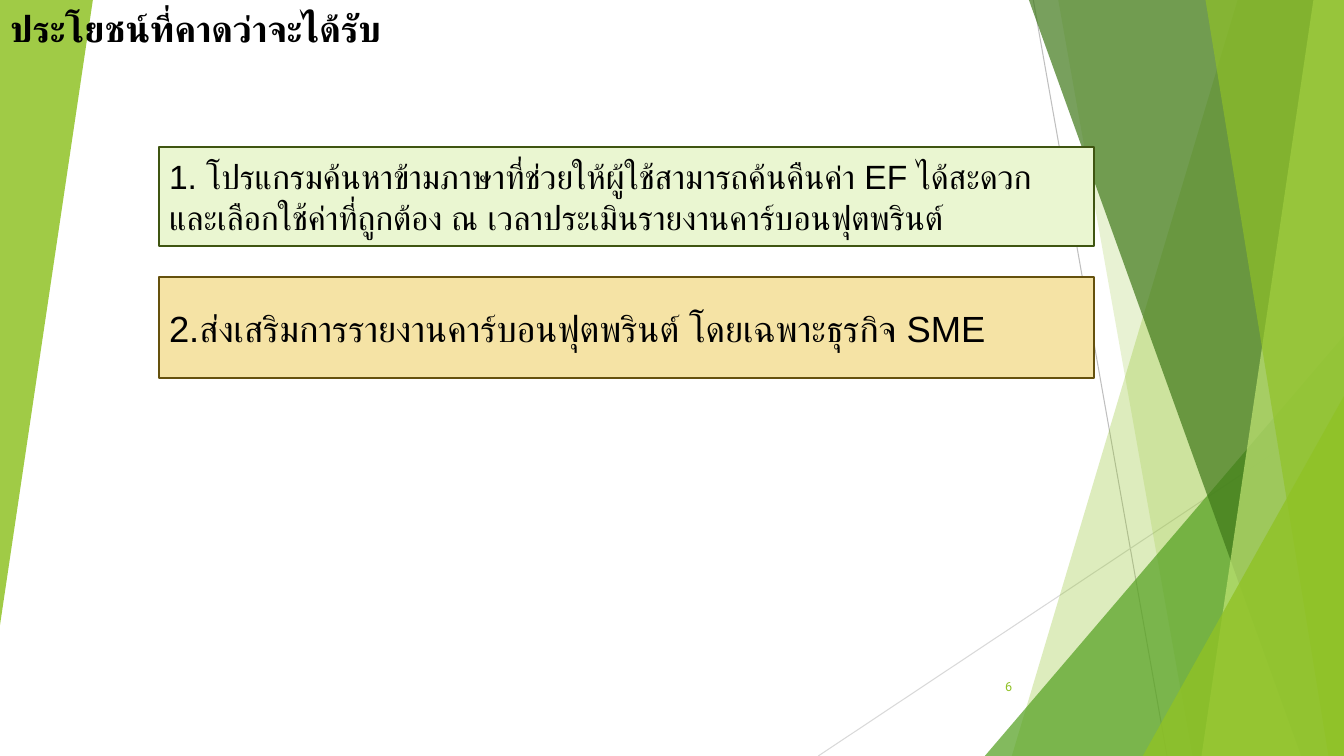
from pptx import Presentation
from pptx.dml.color import RGBColor
from pptx.enum.lang import MSO_LANGUAGE_ID as Lang
from pptx.enum.shapes import MSO_CONNECTOR as Link, MSO_SHAPE as Kind
from pptx.enum.text import MSO_ANCHOR as Anchor, MSO_AUTO_SIZE as Fit, PP_ALIGN as Align
from pptx.oxml.ns import qn
from pptx.util import Cm, Pt
from lxml.etree import SubElement

WIDE, HIGH = 33.87, 19.05


def tint(fmt, color):
    """Give a fill or font a colour from a hex string."""
    fmt.rgb = RGBColor.from_string(color)


def paint(shape, color, alpha=100, edge=None):
    shape.shadow.inherit = False
    shape.fill.solid()
    tint(shape.fill.fore_color, color)
    if alpha < 100:
        node = shape.fill._xPr.find(".//" + qn("a:srgbClr"))
        SubElement(node, qn("a:alpha"), val=str(alpha * 1000))
    if edge:
        tint(shape.line.color, edge)
        shape.line.width = Pt(1.5)
    else:
        shape.line.fill.background()


def write(shape, text, size, color="000000", face="Arial", bold=False,
          align=Align.LEFT, anchor=Anchor.MIDDLE):
    frame = shape.text_frame
    frame.word_wrap = True
    frame.auto_size = Fit.NONE
    frame.vertical_anchor = anchor
    para = frame.paragraphs[0]
    para.alignment = align
    run = para.add_run()
    run.text = text
    font = run.font
    font.size, font.bold, font.name = Pt(size), bold, face
    font.language_id = Lang.THAI
    tint(font.color, color)
    # Thai letters take the complex-script face
    SubElement(run._r.rPr, qn("a:cs"), typeface=face)


def thin(slide, x1, y1, x2, y2, color):
    line = slide.shapes.add_connector(Link.STRAIGHT, Cm(x1), Cm(y1), Cm(x2), Cm(y2))
    tint(line.line.color, color)
    line.line.width = Pt(0.75)
    SubElement(line.element.spPr, qn("a:effectLst"))


def beam(slide, top, low, color, alpha):
    """Draw a band from a slanted left side to the right edge."""
    pen = slide.shapes.build_freeform(Cm(top), 0)
    pen.add_line_segments([(Cm(WIDE), 0), (Cm(WIDE), Cm(HIGH)), (Cm(low), Cm(HIGH))])
    paint(pen.convert_to_shape(), color, alpha)


def wedge(slide, x, y, w, h, color, alpha, turn=0):
    shape = slide.shapes.add_shape(Kind.ISOSCELES_TRIANGLE, Cm(x), Cm(y), Cm(w), Cm(h))
    shape.adjustments[0] = 1
    shape.rotation = turn
    paint(shape, color, alpha)


def corner(slide, left, top, color, alpha):
    """Draw a wedge that fills the lower right corner."""
    wedge(slide, left, top, WIDE - left, HIGH - top, color, alpha)


def decor(slide):
    thin(slide, 26.04, 0, 29.41, HIGH, "BFBFBF")
    thin(slide, WIDE, 10.24, 20.62, HIGH, "D9D9D9")
    beam(slide, 31.19, 25.5, "90C226", 30)
    beam(slide, 26.67, 30.05, "90C226", 20)
    corner(slide, 24.82, 8.46, "54A021", 72)
    beam(slide, 25.93, 32.79, "3F7819", 70)
    beam(slide, 33.1, 30.28, "C0E474", 70)
    beam(slide, 30.38, 33.48, "90C226", 65)
    corner(slide, 28.8, 9.98, "90C226", 80)
    wedge(slide, 0, 0, 2.34, 15.75, "90C226", 85, turn=180)


def card(slide, y, h, text, size, color, edge):
    box = slide.shapes.add_shape(Kind.RECTANGLE, Cm(4.01), Cm(y), Cm(23.57), Cm(h))
    paint(box, color, edge=edge)
    write(box, text, size)


def main():
    deck = Presentation()
    deck.slide_width, deck.slide_height = Cm(WIDE), Cm(HIGH)
    slide = deck.slides.add_slide(deck.slide_layouts[0])
    sub = slide.placeholders[1].element
    sub.getparent().remove(sub)

    # Green facets
    decor(slide)

    # Title, in front of the facets
    title = slide.shapes.title
    slide.shapes.element.append(title.element)
    title.left, title.top, title.width, title.height = 0, 0, Cm(19.84), Cm(1.37)
    write(title, "ประโยชน์ที่คาดว่าจะได้รับ", 26, bold=True, anchor=Anchor.BOTTOM)

    # Benefits
    card(slide, 3.71, 2.49,
         "1. โปรแกรมค้นหาข้ามภาษาที่ช่วยให้ผู้ใช้สามารถค้นคืนค่า EF ได้สะดวก "
         "และเลือกใช้ค่าที่ถูกต้อง ณ เวลาประเมินรายงานคาร์บอนฟุตพรินต์",
         24, "EAF6D1", "3F5511")
    card(slide, 6.99, 2.54, "2.ส่งเสริมการรายงานคาร์บอนฟุตพรินต์ โดยเฉพาะธุรกิจ SME",
         26, "F5E3A5", "65510D")

    # Page number
    page = slide.shapes.add_textbox(Cm(23.85), Cm(16.79), Cm(1.91), Cm(1.02))
    write(page, "6", 9, "90C226", "Roboto", align=Align.RIGHT)

    deck.save("out.pptx")


if __name__ == "__main__":
    main()
